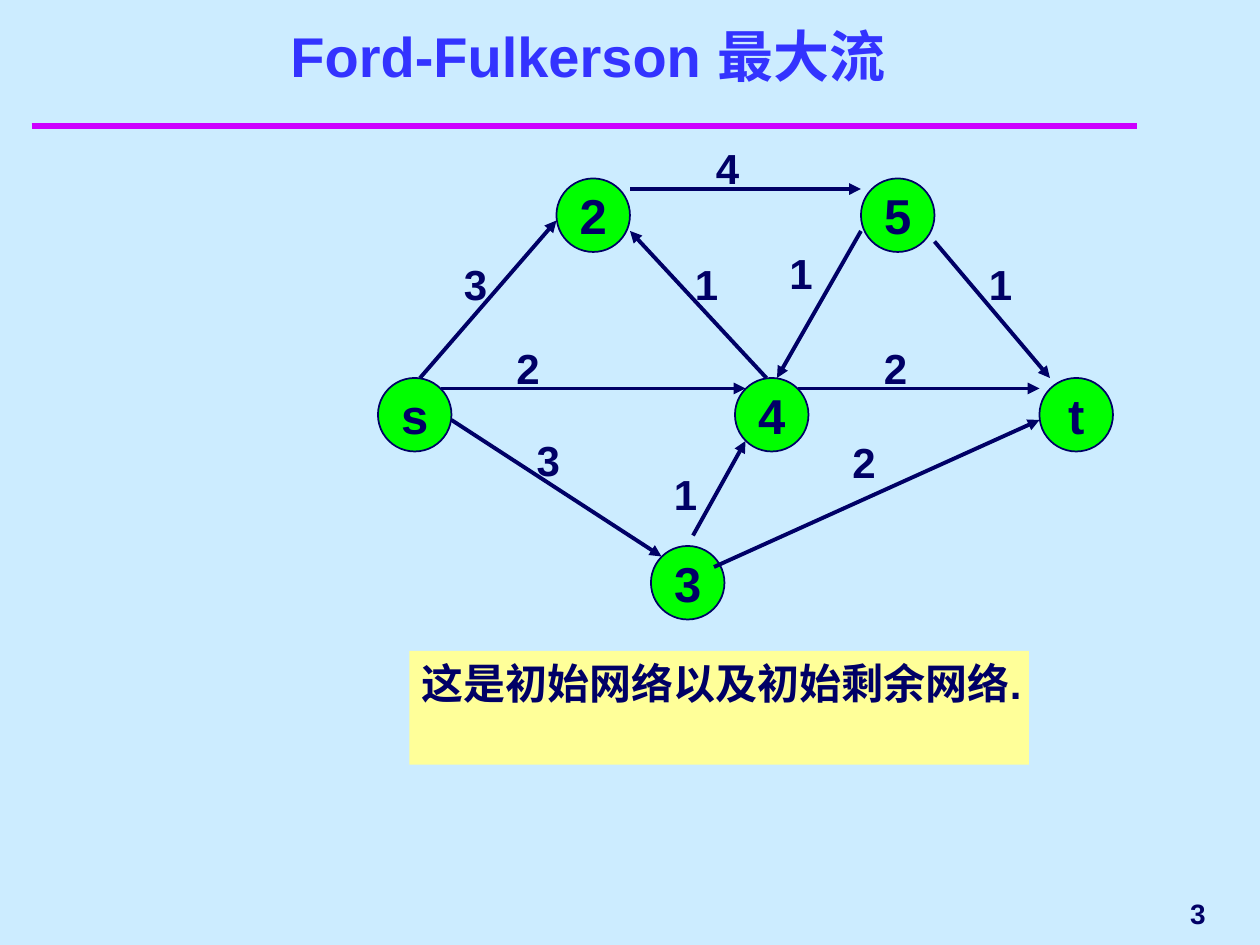
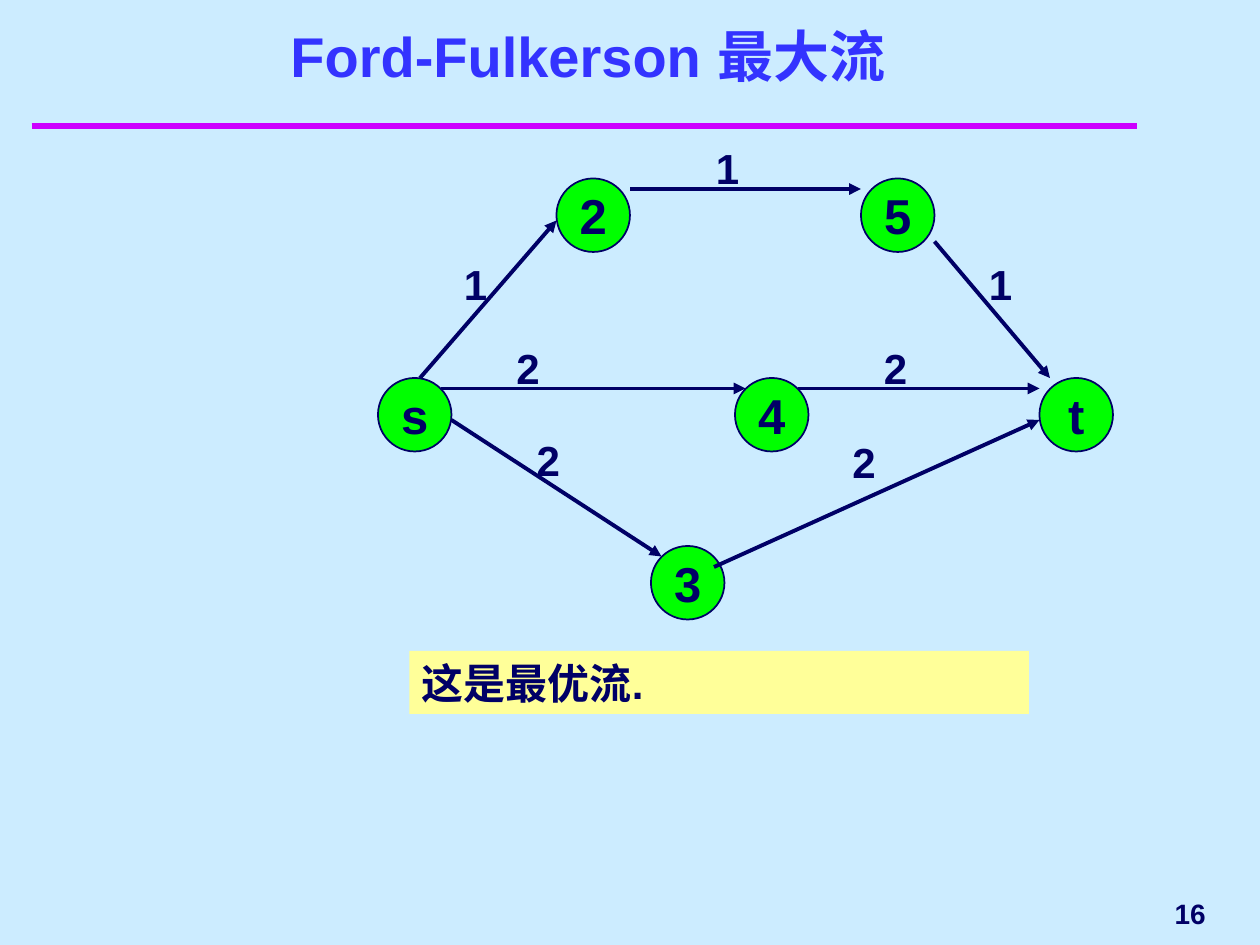
from pptx import Presentation
from pptx.dml.color import RGBColor
from pptx.enum import shapes, text
from pptx.oxml.ns import qn
from pptx.util import Pt

SKY = RGBColor(0xCC, 0xEC, 0xFF)
NAVY = RGBColor(0x00, 0x00, 0x66)
BLUE = RGBColor(0x33, 0x33, 0xFF)
MAGENTA = RGBColor(0xCC, 0x00, 0xFF)
GREEN = RGBColor(0x00, 0xFF, 0x00)
YELLOW = RGBColor(0xFF, 0xFF, 0x99)

FONT = "Arial"
TITLE = "Ford-Fulkerson 最大流"
NODE_SIZE = 42

# Top left corner of each node
NODES = {
    "s": (216, 216),
    "2": (318, 102),
    "4": (420, 216),
    "5": (492, 102),
    "3": (372, 312),
    "t": (594, 216),
}

# Edge: start, end, top left corner of its label
EDGES = {
    "s3": ((258, 240), (378, 318), (299.5, 245)),
    "s2": ((240, 216), (318, 126), (258, 144)),
    "s4": ((252, 222), (426, 222), (288, 192)),
    "42": ((438, 216), (360, 132), (390, 144)),
    "25": ((360, 108), (492, 108), (402, 78)),
    "54": ((492, 132), (444, 216), (444, 138)),
    "4t": ((456, 222), (594, 222), (498, 192)),
    "3t": ((408, 324), (594, 240), (480, 246)),
    "5t": ((534, 138), (600, 216), (558, 144)),
    "34": ((396, 306), (426, 252), (378, 264)),
}

INITIAL_NETWORK = {"s3": 3, "s2": 3, "s4": 2, "42": 1, "25": 4,
                   "54": 1, "4t": 2, "3t": 2, "5t": 1, "34": 1}
OPTIMAL_FLOW = {"s3": 2, "s2": 1, "s4": 2, "25": 1,
                "4t": 2, "3t": 2, "5t": 1}


def write(shape, content, size=24, color=NAVY, align=text.PP_ALIGN.LEFT,
          anchor=text.MSO_ANCHOR.TOP, wrap=True):
    frame = shape.text_frame
    frame.word_wrap = wrap
    frame.vertical_anchor = anchor
    para = frame.paragraphs[0]
    para.alignment = align
    span = para.add_run()
    span.text = content
    span.font.name = FONT
    span.font.size = Pt(size)
    span.font.bold = True
    span.font.color.rgb = color


def add_text(page, content, left, top, width, height, **style):
    box = page.shapes.add_textbox(Pt(left), Pt(top), Pt(width), Pt(height))
    write(box, content, **style)


def add_filled(page, kind, left, top, width, height, fill):
    shape = page.shapes.add_shape(kind, Pt(left), Pt(top), Pt(width), Pt(height))
    shape.shadow.inherit = False
    shape.fill.solid()
    shape.fill.fore_color.rgb = fill
    return shape


def add_line(page, start, end, color=NAVY, width=2.25, arrow=True):
    line = page.shapes.add_connector(
        shapes.MSO_CONNECTOR.STRAIGHT, *(Pt(value) for value in start + end))
    line.line.color.rgb = color
    line.line.width = Pt(width)
    properties = line._element.spPr
    if arrow:
        outline = properties.find(qn("a:ln"))
        outline.append(outline.makeelement(qn("a:tailEnd"), {"type": "triangle"}))
    properties.append(properties.makeelement(qn("a:effectLst"), {}))


def add_node(page, name):
    node = add_filled(page, shapes.MSO_SHAPE.OVAL, *NODES[name],
                      NODE_SIZE, NODE_SIZE, GREEN)
    node.line.color.rgb = NAVY
    node.line.width = Pt(1)
    write(node, name, size=28, align=text.PP_ALIGN.CENTER,
          anchor=text.MSO_ANCHOR.MIDDLE, wrap=False)


def add_network(page, weights):
    """Draw the labels, then the nodes, then the arrows of the weighted edges."""
    for edge, weight in weights.items():
        add_text(page, str(weight), *EDGES[edge][2], 42.5, 36)
    for name in NODES:
        add_node(page, name)
    for edge in weights:
        start, end, _ = EDGES[edge]
        add_line(page, start, end)


def add_note(page, content, height):
    note = add_filled(page, shapes.MSO_SHAPE.RECTANGLE, 234, 372, 354, height, YELLOW)
    note.line.fill.background()
    write(note, content)


def add_page(deck, number):
    """Add a page with the shared background, rule, title and page number."""
    page = deck.slides.add_slide(deck.slide_layouts[6])
    page.background.fill.solid()
    page.background.fill.fore_color.rgb = SKY
    add_line(page, (18, 72), (650, 72), color=MAGENTA, width=4, arrow=False)
    add_text(page, TITLE, 30, 24, 612, 30, size=32, color=BLUE,
             align=text.PP_ALIGN.CENTER, anchor=text.MSO_ANCHOR.BOTTOM)
    add_text(page, str(number), 558, 504, 138, 36, size=16,
             align=text.PP_ALIGN.RIGHT, anchor=text.MSO_ANCHOR.MIDDLE)
    return page


def main():
    deck = Presentation()
    deck.slide_width, deck.slide_height = Pt(720), Pt(540)

    page = add_page(deck, 3)
    add_network(page, INITIAL_NETWORK)
    add_note(page, "这是初始网络以及初始剩余网络.", 65)

    page = add_page(deck, 16)
    add_network(page, OPTIMAL_FLOW)
    add_note(page, "这是最优流.", 36)

    deck.save("out.pptx")


if __name__ == "__main__":
    main()
